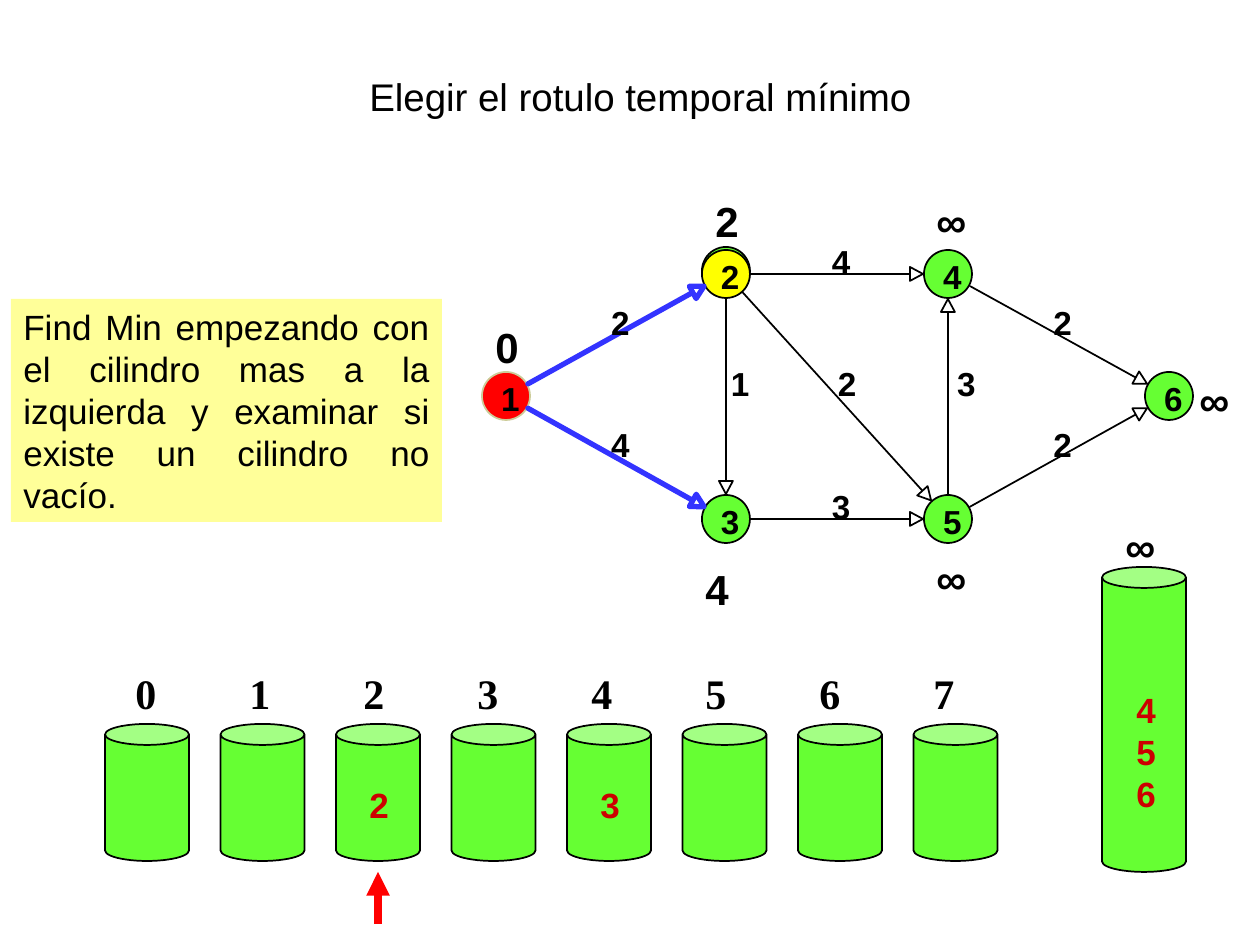
import math

from lxml import etree
from pptx import Presentation, util as u
from pptx.dml.color import RGBColor
from pptx.enum import shapes, text
from pptx.oxml.ns import qn

EMU_PER_PX = 914400 / 126
COLORS = {
    "black": "000000", "green": "66FF33", "yellow": "FFFF00", "red": "FF0000",
    "sand": "CCCC99", "blue": "3333FF", "item": "CC0000", "note": "FFFF99",
}

TITLE = "Elegir el rotulo temporal mínimo"
NOTE = ("Find Min empezando con el cilindro mas a la izquierda "
        "y examinar si existe un cilindro no vacío.")

# name: (centre x, centre y, fill, outline)
NODES = {
    "1": (506, 396, "red", "sand"),
    "2": (726, 274, "yellow", "black"),
    "3": (726, 519, "green", "black"),
    "4": (948, 274, "green", "black"),
    "5": (948, 519, "green", "black"),
    "6": (1169, 396, "green", "black"),
}
# start, end, weight, label shift from the middle of the edge, colour, width
EDGES = [
    ("1", "2", "2", -5, "blue", 3),
    ("2", "4", "4", -5, "black", 1),
    ("2", "5", "2", 1, "black", 1),
    ("2", "3", "1", 5, "black", 1),
    ("3", "5", "3", -5, "black", 1),
    ("1", "3", "4", -5, "blue", 3),
    ("4", "6", "2", -5, "black", 1),
    ("5", "4", "3", 9, "black", 1),
    ("5", "6", "2", -5, "black", 1),
]
# temporary label, left, top
DISTANCES = [
    ("0", 483, 315), ("2", 703, 189), ("4", 693, 557),
    ("∞", 924, 189), ("∞", 924, 546), ("∞", 1187, 368),
]
BUCKETS = ["", "", "2", "", "3", "", "", ""]
INFINITE_BUCKET = ["4", "5", "6"]

NODE_SIZE, NODE_GAP = 48, 25
HEAD_LENGTH, HEAD_HALF = 13, 7
BUCKET_LEFT, BUCKET_TOP, BUCKET_W, BUCKET_H = 105, 724, 84, 137
BUCKET_PITCH, NUMBER_PITCH = 115.5, 114


def px(length):
    return u.Emu(round(length * EMU_PER_PX))


def rgb(name):
    return RGBColor.from_string(COLORS[name])


def write(frame, words, size=24, font="Arial", color="black", bold=True,
          align=text.PP_ALIGN.LEFT, anchor=text.MSO_ANCHOR.TOP,
          inset=True, wrap=True):
    frame.word_wrap = wrap
    frame.vertical_anchor = anchor
    frame.margin_left = frame.margin_right = u.Inches(0.1 if inset else 0)
    frame.margin_top = frame.margin_bottom = u.Inches(0.05 if inset else 0)
    para = frame.paragraphs[0]
    para.alignment = align
    span = para.add_run()
    span.text = words
    span.font.size, span.font.bold, span.font.name = u.Pt(size), bold, font
    span.font.color.rgb = rgb(color)


def add_text(page, words, left, top, width, height, **style):
    box = page.shapes.add_textbox(px(left), px(top), px(width), px(height))
    write(box.text_frame, words, **style)


def add_small_label(page, words, left, top):
    add_text(page, words, left, top, 19, 40, size=19, inset=False, wrap=False)


def add_item(page, words, left, top):
    add_text(page, words, left, top, 42, 55, size=20, color="item")


def add_preset(page, kind, left, top, width, height, fill, line="black"):
    shape = page.shapes.add_shape(kind, px(left), px(top), px(width), px(height))
    shape.shadow.inherit = False
    shape.fill.solid()
    shape.fill.fore_color.rgb = rgb(fill)
    if line:
        shape.line.color.rgb = rgb(line)
        shape.line.width = u.Pt(1)
    else:
        shape.line.fill.background()
    return shape


def add_node(page, center_x, center_y, fill, line="black"):
    add_preset(page, shapes.MSO_SHAPE.OVAL, center_x - NODE_SIZE / 2,
               center_y - NODE_SIZE / 2, NODE_SIZE, NODE_SIZE, fill, line)


def add_edge(page, start, end, color, width):
    """Draw one outline made of a shaft and a hollow triangular head."""
    (x1, y1), (x2, y2) = start, end
    span = math.hypot(x2 - x1, y2 - y1)
    dx, dy = (x2 - x1) / span, (y2 - y1) / span

    def along(distance, side=0):
        return (px(x1 + dx * distance - dy * side),
                px(y1 + dy * distance + dx * side))

    tip = span - NODE_GAP
    base = tip - HEAD_LENGTH
    outline = page.shapes.build_freeform(*along(NODE_GAP))
    outline.add_line_segments([
        along(base), along(base, HEAD_HALF), along(tip),
        along(base, -HEAD_HALF), along(base),
    ], close=True)
    edge = outline.convert_to_shape()
    edge.shadow.inherit = False
    edge.fill.background()
    edge.line.color.rgb = rgb(color)
    edge.line.width = u.Pt(width)


def add_pointer(page, x, bottom, top):
    arrow = page.shapes.add_connector(
        shapes.MSO_CONNECTOR.STRAIGHT, px(x), px(bottom), px(x), px(top))
    arrow.line.color.rgb = rgb("red")
    arrow.line.width = u.Pt(4.5)
    etree.SubElement(arrow.line._get_or_add_ln(), qn("a:tailEnd"), type="triangle")
    etree.SubElement(arrow._element.spPr, qn("a:effectLst"))


def add_graph(page):
    add_node(page, 726, 271, "green")
    for name, (x, y, fill, line) in NODES.items():
        add_node(page, x, y, fill, line)
        add_small_label(page, name, x - 5, y - 18)
    for start, end, weight, shift, color, width in EDGES:
        (x1, y1), (x2, y2) = NODES[start][:2], NODES[end][:2]
        add_edge(page, (x1, y1), (x2, y2), color, width)
        add_small_label(page, weight, (x1 + x2) / 2 + shift, (y1 + y2) / 2 - 33)
    for words, left, top in DISTANCES:
        add_text(page, words, left, top, 58, 63)


def add_buckets(page):
    can = shapes.MSO_SHAPE.CAN
    for number, item in enumerate(BUCKETS):
        left = BUCKET_LEFT + number * BUCKET_PITCH
        add_preset(page, can, left, BUCKET_TOP, BUCKET_W, BUCKET_H, "green")
        add_text(page, str(number), 123 + number * NUMBER_PITCH, 661, 63, 63,
                 font="Times New Roman")
        if item:
            add_item(page, item, left + 21, 777)
    add_preset(page, can, 1102, 567, BUCKET_W, 305, "green")
    add_text(page, "∞", 1113, 514, 53, 63)
    for row, item in enumerate(INFINITE_BUCKET):
        add_item(page, item, 1124, 682 + row * 42)
    add_pointer(page, 378, 924, 872)


def main():
    deck = Presentation()
    deck.slide_width, deck.slide_height = px(1260), px(945)
    page = deck.slides.add_slide(deck.slide_layouts[5])

    title = page.shapes.title
    title.left, title.top, title.width, title.height = map(px, (105, 21, 1071, 105))
    write(title.text_frame, TITLE, size=22, bold=False,
          align=text.PP_ALIGN.CENTER, anchor=text.MSO_ANCHOR.BOTTOM)

    add_graph(page)
    add_buckets(page)
    note = add_preset(page, shapes.MSO_SHAPE.RECTANGLE, 11, 299, 431, 223,
                      "note", line=None)
    write(note.text_frame, NOTE, size=20, bold=False,
          align=text.PP_ALIGN.JUSTIFY)
    deck.save("out.pptx")


if __name__ == "__main__":
    main()
